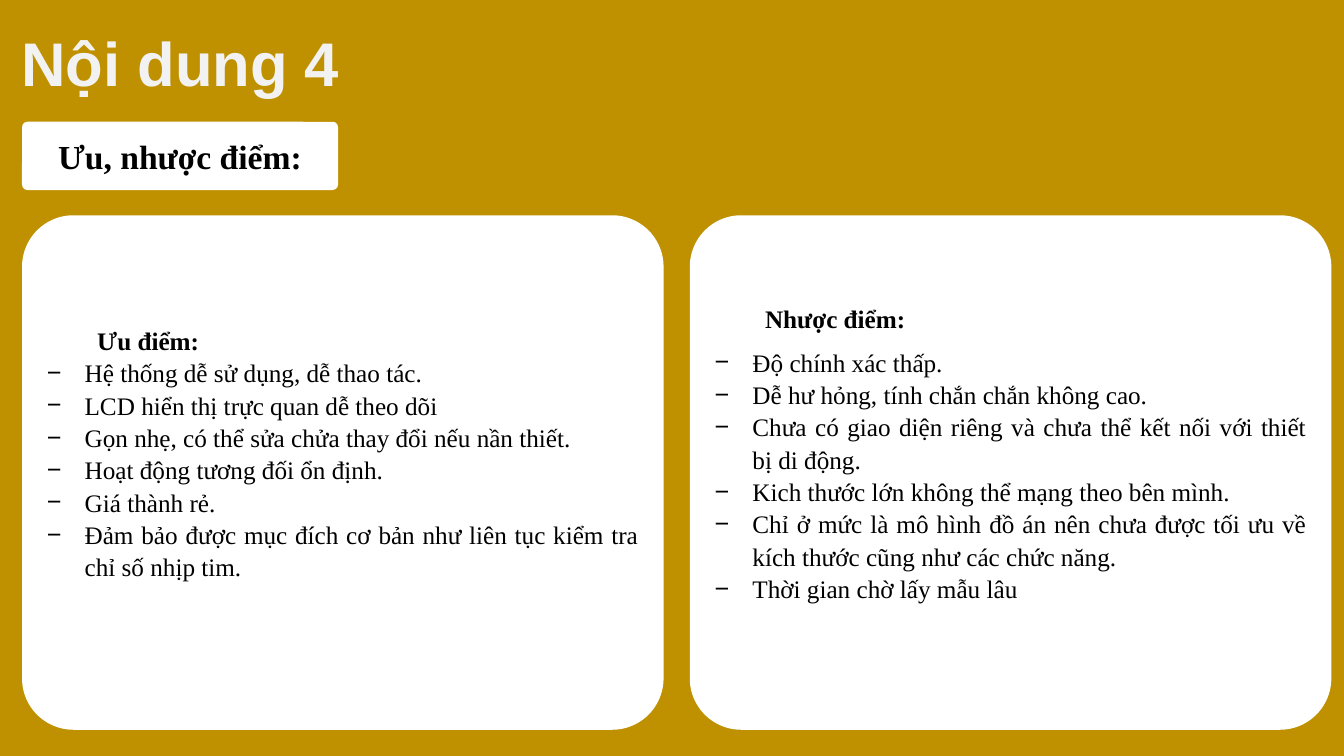
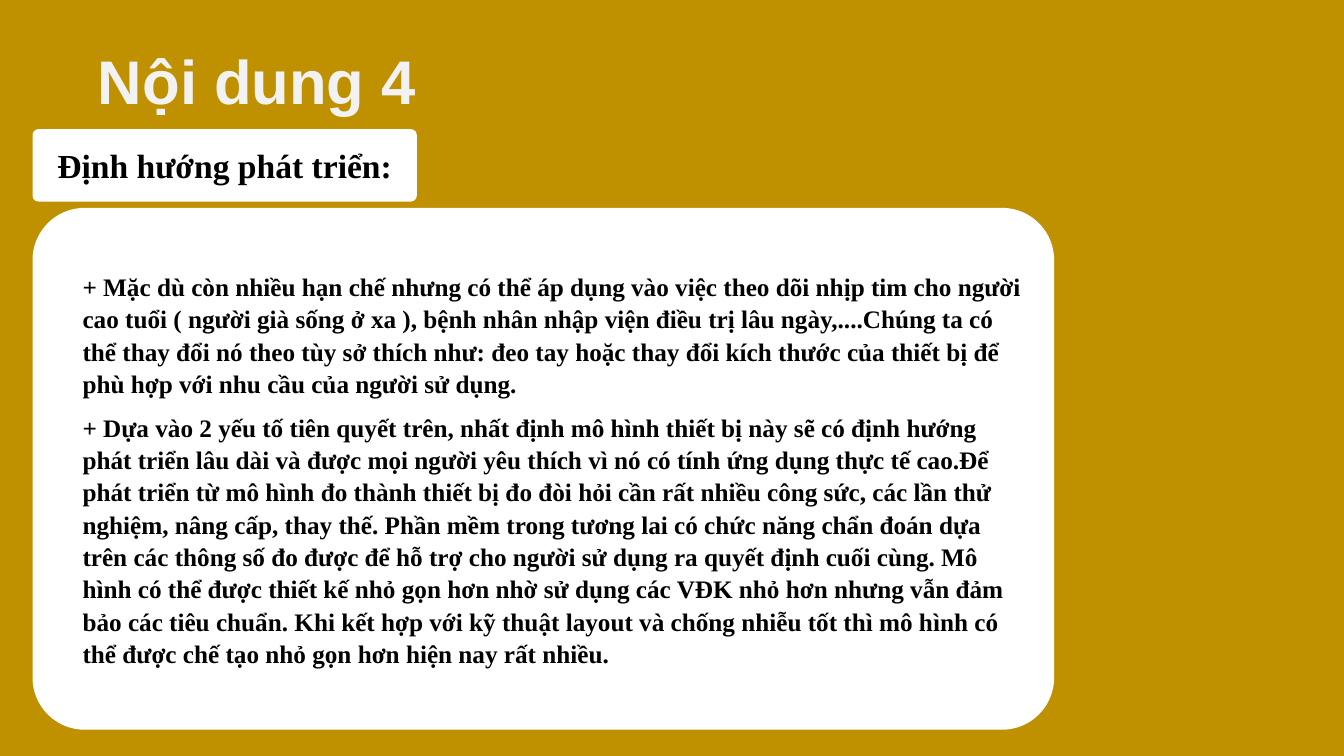
from lxml.etree import SubElement
from pptx import Presentation
from pptx.dml.color import RGBColor
from pptx.enum.shapes import MSO_SHAPE
from pptx.enum.text import MSO_ANCHOR, MSO_AUTO_SIZE, PP_ALIGN
from pptx.oxml.ns import qn
from pptx.util import Pt

PX = 9525
GOLD = RGBColor(0xBF, 0x90, 0x00)
WHITE = RGBColor(0xFF, 0xFF, 0xFF)
PALE = RGBColor(0xF2, 0xF2, 0xF2)
BLACK = RGBColor(0x00, 0x00, 0x00)
TITLE_FONT = "Arial"
TEXT_FONT = "Times New Roman"
TITLE = "Nội dung 4"

PROS = [
    "Hệ thống dễ sử dụng, dễ thao tác.",
    "LCD hiển thị trực quan dễ theo dõi",
    "Gọn nhẹ, có thể sửa chửa thay đổi nếu nần thiết.",
    "Hoạt động tương đối ổn định.",
    "Giá thành rẻ.",
    "Đảm bảo được mục đích cơ bản như liên tục kiểm tra chỉ số nhịp tim.",
]
CONS = [
    "Độ chính xác thấp.",
    "Dễ hư hỏng, tính chắn chắn không cao.",
    "Chưa có giao diện riêng và chưa thể kết nối với thiết bị di động.",
    "Kich thước lớn không thể mạng theo bên mình.",
    "Chỉ ở mức là mô hình đồ án nên chưa được tối ưu về kích thước cũng như các chức năng.",
    "Thời gian chờ lấy mẫu lâu",
]
OUTLOOK = [
    "+ Mặc dù còn nhiều hạn chế nhưng có thể áp dụng vào việc theo dõi nhịp tim cho người "
    "cao tuổi ( người già sống ở xa ), bệnh nhân nhập viện điều trị lâu ngày,....Chúng ta có "
    "thể thay đổi nó theo tùy sở thích như: đeo tay hoặc thay đổi kích thước của thiết bị để "
    "phù hợp với nhu cầu của người sử dụng.",
    "+ Dựa vào 2 yếu tố tiên quyết trên, nhất định mô hình thiết bị này sẽ có định hướng "
    "phát triển lâu dài và được mọi người yêu thích vì nó có tính ứng dụng thực tế cao.Để "
    "phát triển từ mô hình đo thành thiết bị đo đòi hỏi cần rất nhiều công sức, các lần thử "
    "nghiệm, nâng cấp, thay thế. Phần mềm trong tương lai có chức năng chẩn đoán dựa "
    "trên các thông số đo được để hỗ trợ cho người sử dụng ra quyết định cuối cùng. Mô "
    "hình có thể được thiết kế nhỏ gọn hơn nhờ sử dụng các VĐK nhỏ hơn nhưng vẫn đảm "
    "bảo các tiêu chuẩn. Khi kết hợp với kỹ thuật layout và chống nhiễu tốt thì mô hình có "
    "thể được chế tạo nhỏ gọn hơn hiện nay rất nhiều.",
]


def place(sp, x, y, w, h):
    """Move and size a shape, in px."""
    sp.left, sp.top, sp.width, sp.height = (v * PX for v in (x, y, w, h))


def style(p, font, size, color, bold, align):
    """Format a paragraph and its runs."""
    p.alignment = align
    for r in p.runs:
        r.font.name = font
        r.font.size = Pt(size)
        r.font.bold = bold
        r.font.color.rgb = color


def add_slide(prs, layout, title_x, title_y):
    """Add a slide with the shared title."""
    slide = prs.slides.add_slide(prs.slide_layouts.get_by_name(layout))
    sp = slide.shapes.title
    place(sp, title_x, title_y, 340, 81)
    tf = sp.text_frame
    tf.text = TITLE
    tf.word_wrap = False
    tf.auto_size = MSO_AUTO_SIZE.NONE
    tf.vertical_anchor = MSO_ANCHOR.TOP
    style(tf.paragraphs[0], TITLE_FONT, 44, PALE, True, PP_ALIGN.CENTER)
    return slide


def add_panel(slide, x, y, w, h, rounding):
    """Add a white rounded panel."""
    sp = slide.shapes.add_shape(MSO_SHAPE.ROUNDED_RECTANGLE, 0, 0, 0, 0)
    place(sp, x, y, w, h)
    sp.adjustments[0] = rounding
    sp.shadow.inherit = False
    sp.fill.solid()
    sp.fill.fore_color.rgb = WHITE
    sp.line.fill.background()
    return sp


def add_label(slide, text, x, y, w, h):
    """Add the subtitle label."""
    tf = add_panel(slide, x, y, w, h, 0.08).text_frame
    tf.text = text
    tf.word_wrap = True
    tf.vertical_anchor = MSO_ANCHOR.MIDDLE
    style(tf.paragraphs[0], TEXT_FONT, 24, BLACK, True, PP_ALIGN.CENTER)


def set_paragraph(p, margin, bullet=None, space_after=0):
    """Set spacing, indent and bullet of a body paragraph."""
    p.line_spacing = 1.07
    p.space_before = Pt(0)
    p.space_after = Pt(space_after)
    pPr = p._p.get_or_add_pPr()
    pPr.set("marL", str(margin * PX))
    pPr.set("indent", str(-margin * PX if bullet else 0))
    if bullet:
        SubElement(pPr, qn("a:buChar")).set("char", bullet)
    else:
        SubElement(pPr, qn("a:buNone"))


def add_card(slide, idx, lines, x, y, w, h, lift=0):
    """Add a panel, lay a body placeholder over it and return its paragraphs."""
    add_panel(slide, x, y, w, h, 0.1)
    sp = slide.placeholders[idx]
    sp.element.getparent().append(sp.element)
    inset = 14
    place(sp, x + inset, y + inset, w - 2 * inset, h - 2 * inset - lift)
    tf = sp.text_frame
    tf.text = "\n".join(lines)
    tf.word_wrap = True
    tf.auto_size = MSO_AUTO_SIZE.NONE
    tf.vertical_anchor = MSO_ANCHOR.MIDDLE
    return tf.paragraphs


def add_list_card(slide, idx, heading, items, x, heading_gap):
    """Add a card with a heading and a dashed list."""
    first, *rest = add_card(slide, idx, [heading, *items], x, 205, 611, 490, lift=38)
    set_paragraph(first, 48, space_after=heading_gap)
    style(first, TEXT_FONT, 18, BLACK, True, PP_ALIGN.JUSTIFY)
    for p in rest:
        set_paragraph(p, 36, bullet="−")
        style(p, TEXT_FONT, 18, BLACK, False, PP_ALIGN.JUSTIFY)


def add_text_card(slide, idx, lines, x, y, w, h):
    """Add a card with bold paragraphs."""
    for p in add_card(slide, idx, lines, x, y, w, h):
        set_paragraph(p, 24, space_after=8)
        style(p, TEXT_FONT, 18, BLACK, True, PP_ALIGN.LEFT)


def main():
    """Build and save the deck."""
    prs = Presentation()
    prs.slide_width, prs.slide_height = 1280 * PX, 720 * PX
    fill = prs.slide_master.background.fill
    fill.solid()
    fill.fore_color.rgb = GOLD

    slide = add_slide(prs, "Two Content", 2, 19)
    add_label(slide, "Ưu, nhược điểm:", 21, 116, 301, 65)
    add_list_card(slide, 1, "Ưu điểm:", PROS, 21, 0)
    add_list_card(slide, 2, "Nhược điểm:", CONS, 657, 8)

    slide = add_slide(prs, "Title and Content", 75, 36)
    add_label(slide, "Định hướng phát triển:", 31, 123, 366, 69)
    add_text_card(slide, 1, OUTLOOK, 31, 198, 973, 497)

    prs.save("out.pptx")


if __name__ == "__main__":
    main()
